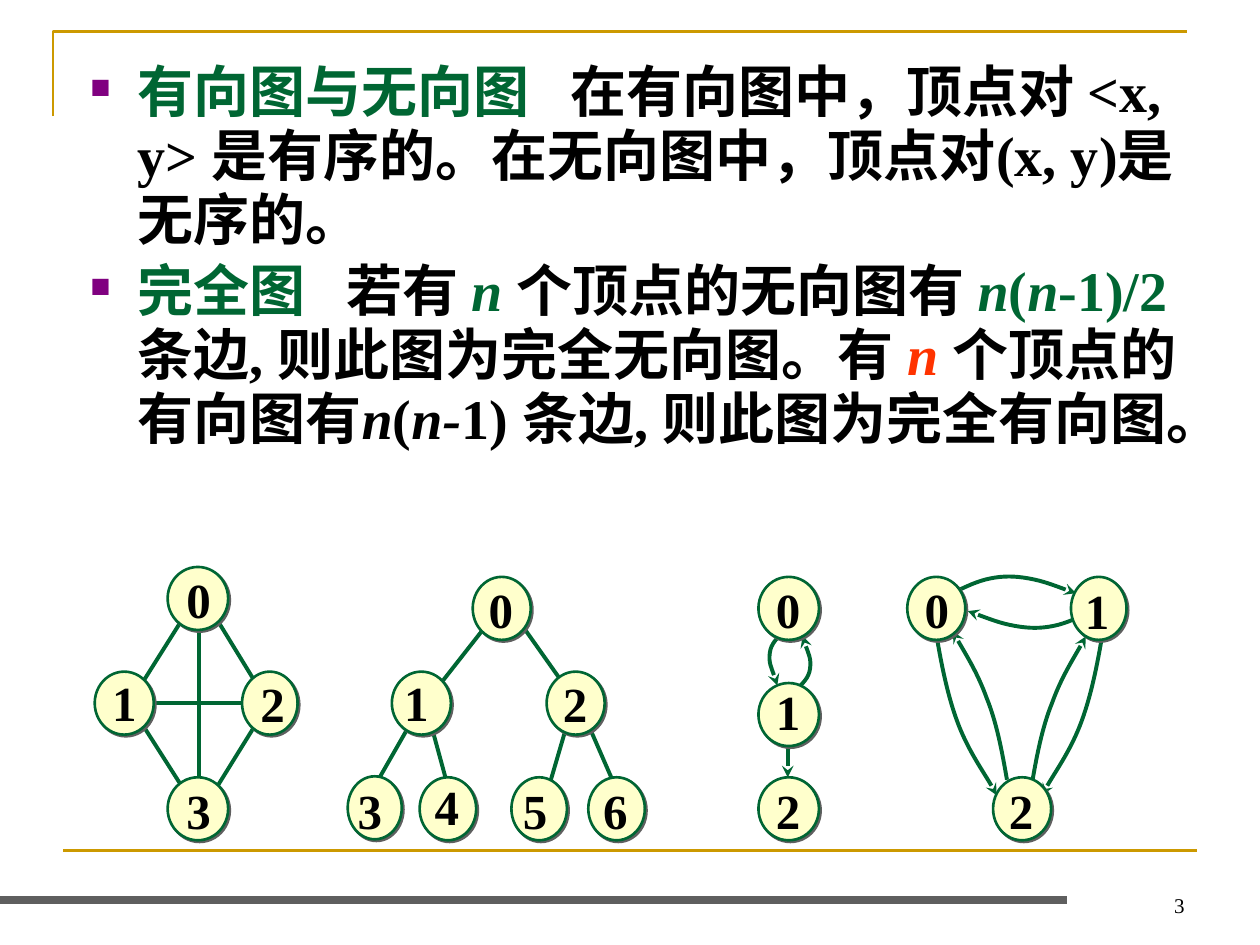
"""Build a slide on directed, undirected and complete graphs."""
from lxml import etree
from pptx import Presentation
from pptx import util as u
from pptx.dml import color
from pptx.enum import shapes, text
from pptx.oxml import ns

GREEN, BLACK, GOLD, GREY = "006633", "000000", "CC9900", "5F5F5F"
FACE = "Times New Roman"


def paint(fill, value):
    fill.solid()
    fill.fore_color.rgb = color.RGBColor.from_string(value)


def stroke(shape, value, points, arrow=False):
    paint(shape.line.fill, value)
    shape.line.width = u.Pt(points)
    outline = shape._element.spPr
    if arrow:
        etree.SubElement(outline.find(ns.qn("a:ln")), ns.qn("a:tailEnd"), type="stealth")
    return etree.SubElement(outline, ns.qn("a:effectLst"))


deck = Presentation()
deck.slide_width, deck.slide_height = u.Cm(25.4), u.Cm(19.05)
slide = deck.slides.add_slide(deck.slide_layouts[6])
canvas = slide.shapes

# fmt: off
mutual_pair = [(15.82, 12.73), (15.67, 12.85), (15.54, 12.98), (15.52, 13.16),
               (15.49, 13.36), (15.65, 13.72), (15.67, 13.82)]
top_arc = [(22, 12.32), (21.74, 12.45), (21.49, 12.57), (21.23, 12.62), (20.98, 12.67),
           (20.75, 12.67), (20.47, 12.62), (20.17, 12.57), (19.66, 12.37), (19.51, 12.32)]
down_arc = [(22.2, 12.93), (22.1, 13.51), (21.97, 14.12), (21.77, 14.63),
            (21.56, 15.16), (21.13, 15.77), (21.01, 16.03)]
up_arc = [(20.8, 15.82), (20.9, 15.24), (21.01, 14.66), (21.21, 14.17),
          (21.39, 13.67), (21.77, 13.06), (21.89, 12.83)]
# fmt: on
corner = [(1.07, 2.34), (1.07, 0.64), (23.93, 0.64)]
arcs = [
    mutual_pair,
    [(31.85 - x, 26.64 - y) for x, y in mutual_pair],
    top_arc,
    [(41.2 - x, 24.28 - y) for x, y in top_arc],
    down_arc,
    up_arc,
    [(41.1 - x, y) for x, y in down_arc],
    [(41.1 - x, y - 0.1) for x, y in up_arc],
]
for route in [corner] + arcs:
    points = [(u.Cm(x), u.Cm(y)) for x, y in route]
    pen = canvas.build_freeform(*points[0])
    pen.add_line_segments(points[1:], close=False)
    track = pen.convert_to_shape()
    track.fill.background()
    if route is corner:
        stroke(track, GOLD, 1.5)
        continue
    stroke(track, GREEN, 2.25, arrow=True)
    steps = track._element.findall(".//" + ns.qn("a:lnTo"))
    for first in range(0, len(steps), 3):
        bend = etree.Element(ns.qn("a:cubicBezTo"))
        steps[first].addprevious(bend)
        for step in steps[first:first + 3]:
            bend.append(step[0])
            step.getparent().remove(step)

rules = [(1.27, 17.15, 24.13, 17.15, GOLD, 1.5), (0, 18.14, 21.51, 18.14, GREY, 4.5)]
edges = [
    (10.59, 12.7, 11.63, 14.17), (11.43, 14.61, 11, 16.08), (11.86, 14.61, 12.5, 16.08),
    (9.73, 12.7, 8.89, 13.77), (8.69, 14.61, 9.09, 16.08), (8.26, 14.61, 7.42, 16.08),
    (2.74, 14.4, 3.81, 16.08), (4.24, 12.27, 5.28, 13.97), (5.28, 14.4, 4.24, 16.08),
    (3.81, 12.27, 2.74, 13.97), (2.97, 14.17, 5.28, 14.17), (4.01, 12.5, 4.01, 16.31),
]
directed = (15.88, 15.04, 15.88, 15.67)
for *ends, tint, weight in rules + [(*edge, GREEN, 2.25) for edge in edges + [directed]]:
    link = canvas.add_connector(shapes.MSO_CONNECTOR.STRAIGHT, *map(u.Cm, ends))
    stroke(link, tint, weight, arrow=tuple(ends) == directed)

definitions = [
    [("有向图与无向图", GREEN, False), (" ", BLACK, False),
     ("在有向图中，顶点对 <x, y> 是有序的。在无向图中，顶点对(x, y)是无序的。", BLACK, False)],
    [("完全图", GREEN, False), (" ", BLACK, False), ("若有 ", BLACK, False),
     ("n ", GREEN, True), ("个顶点的无向图有 ", BLACK, False), ("n", GREEN, True),
     ("(", GREEN, False), ("n", GREEN, True), ("-1)/2 ", GREEN, False),
     ("条边, 则此图为完全无向图。有 ", BLACK, False), ("n ", "FF3300", True),
     ("个顶点的有向图有", BLACK, False), ("n", BLACK, True), ("(", BLACK, False),
     ("n-", BLACK, True), ("1) 条边, 则此图为完全有向图。", BLACK, False)],
]
body = canvas.add_textbox(u.Cm(1.57), u.Cm(1.12), u.Cm(22.43), u.Cm(9.75)).text_frame
body.word_wrap = True
for index, pieces in enumerate(definitions):
    item = body.add_paragraph() if index else body.paragraphs[0]
    for key, value in {"line_spacing": 0.95, "space_before": u.Pt(4)}.items():
        setattr(item, key, value)
    margins = item._p.get_or_add_pPr()
    margins.set("marL", str(u.Cm(0.95)))
    margins.set("indent", str(u.Cm(-0.95)))
    tone = etree.SubElement(margins, ns.qn("a:buClr"))
    etree.SubElement(tone, ns.qn("a:srgbClr"), val="800080")
    etree.SubElement(margins, ns.qn("a:buSzPct"), val="50000")
    etree.SubElement(margins, ns.qn("a:buChar"), char="■")
    for words, tint, slanted in pieces:
        run = item.add_run()
        run.text = words
        look = {"name": FACE, "size": u.Pt(32), "bold": True, "italic": slanted}
        for key, value in look.items():
            setattr(run.font, key, value)
        paint(run.font.fill, tint)
        if words == " ":
            run._r.get_or_add_rPr().set("spc", "1600")

vertices = [
    ("1", 1.91, 13.54, 1.19, 2.01, 13.44), ("2", 4.88, 13.54, 1.12, 5, 13.46),
    ("0", 3.38, 11.43, 1.22, 3.51, 11.35), ("3", 3.38, 15.67, 1.22, 3.51, 15.6),
    ("3", 7.01, 15.65, 1.09, 6.96, 15.6), ("4", 8.46, 15.67, 1.14, 8.51, 15.52),
    ("5", 10.31, 15.67, 1.12, 10.29, 15.6), ("6", 11.86, 15.67, 1.14, 11.91, 15.6),
    ("1", 7.9, 13.54, 1.19, 7.9, 13.44), ("2", 11.02, 13.54, 1.17, 11.1, 13.46),
    ("0", 9.53, 11.63, 1.17, 9.6, 11.56), ("0", 15.29, 11.63, 1.22, 15.39, 11.56),
    ("1", 15.29, 13.77, 1.22, 15.39, 13.61), ("2", 15.29, 15.67, 1.22, 15.39, 15.6),
    ("0", 18.29, 11.63, 1.17, 18.39, 11.56), ("1", 21.59, 11.63, 1.12, 21.62, 11.58),
    ("2", 20.02, 15.67, 1.17, 20.09, 15.6),
]
for _, left, top, width, *_ in vertices:
    vertex = canvas.add_shape(shapes.MSO_SHAPE.OVAL, *map(u.Cm, (left, top, width, 1.27)))
    paint(vertex.fill, "FFFFCC")
    effects = stroke(vertex, GREEN, 1.5)
    shade = etree.SubElement(effects, ns.qn("a:outerShdw"), blurRad="0",
                             dist=str(u.Pt(1.4)), dir="2700000", algn="ctr", rotWithShape="0")
    etree.SubElement(shade, ns.qn("a:srgbClr"), val=GREY)

numerals = [(digit, x, y, 0.99, 1.45, 28, True) for digit, *_, x, y in vertices]
page_number = ("3", 18.21, 17.35, 5.92, 1.27, 12, False)
for numeral in numerals + [page_number]:
    digit, *box, size, bold = numeral
    frame = canvas.add_textbox(*map(u.Cm, box)).text_frame
    frame.text = digit
    if numeral is page_number:
        frame.word_wrap = True
        frame.vertical_anchor = text.MSO_ANCHOR.BOTTOM
        frame.paragraphs[0].alignment = text.PP_ALIGN.RIGHT
    else:
        frame.word_wrap = False
        frame.auto_size = text.MSO_AUTO_SIZE.SHAPE_TO_FIT_TEXT
    font = frame.paragraphs[0].runs[0].font
    for key, value in {"name": FACE, "size": u.Pt(size), "bold": bold}.items():
        setattr(font, key, value)
    paint(font.fill, BLACK)

deck.save("out.pptx")
